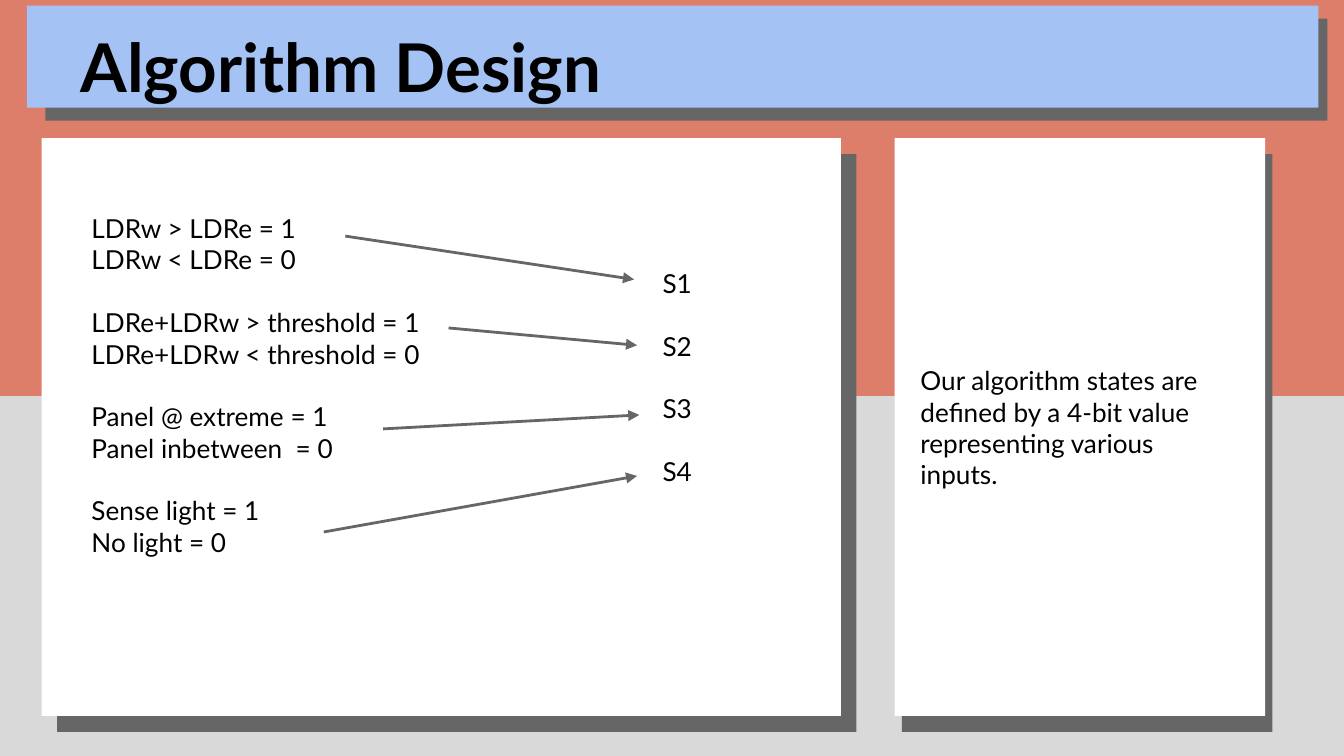
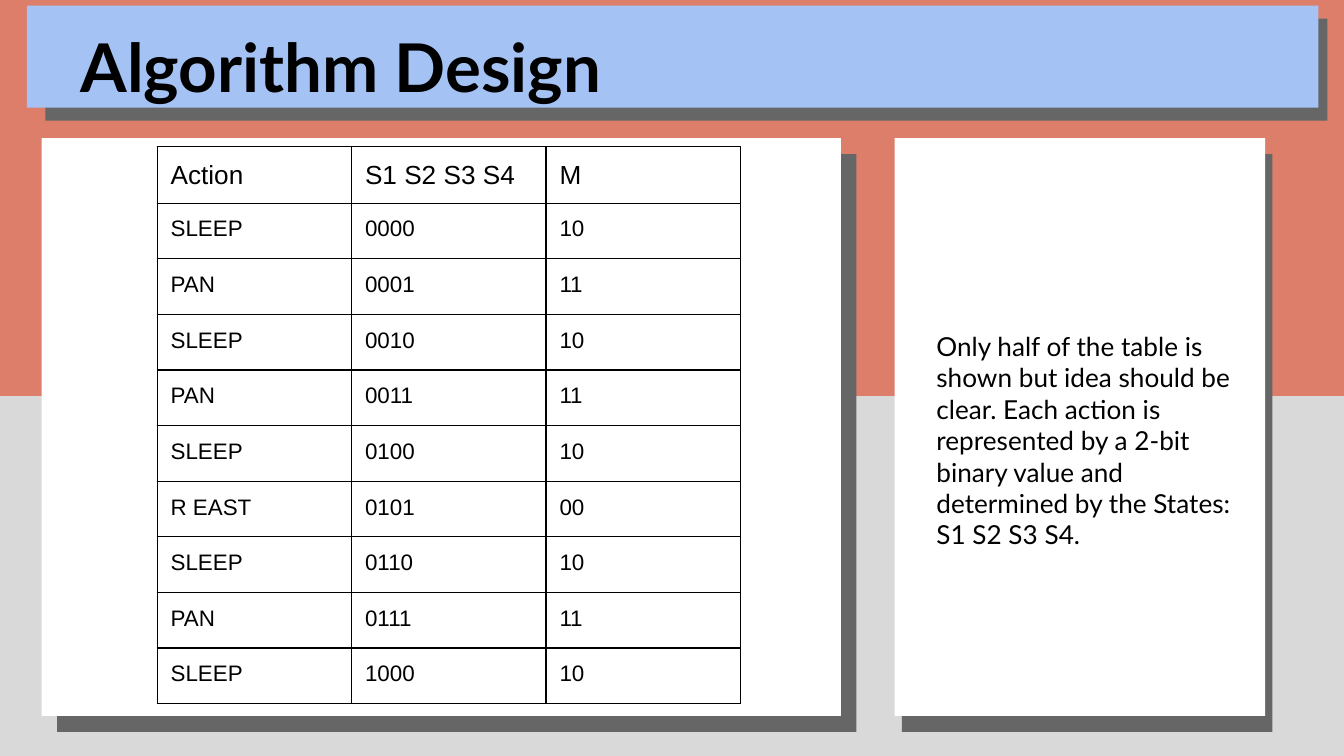
import pptx
import pptx.dml.color
import pptx.enum.shapes
import pptx.enum.text
import pptx.oxml.ns
import pptx.util
from lxml import etree

Pt = pptx.util.Pt
ANCHOR = pptx.enum.text.MSO_ANCHOR

COLORS = {
    "ground": "D9D9D9",
    "coral": "DD7E6B",
    "shade": "666666",
    "blue": "A4C2F4",
    "paper": "FFFFFF",
    "ink": "000000",
}

TITLE = "Algorithm Design"
TITLE_BOX = (36, -3.6, 648, 67.7)
BANDS = [
    ("coral", (-2.2, -2.9, 727.2, 215)),
    ("shade", (24.3, 10, 686.9, 54.7)),
    ("blue", (14.4, 3, 691.9, 54.7)),
    ("shade", (483.1, 82.6, 198.5, 309.6)),
    ("paper", (479.2, 74, 198.5, 309.6)),
    ("shade", (30.6, 82.6, 428.2, 309.6)),
    ("paper", (22.3, 74, 428.2, 309.6)),
]

RULES = [
    ("LDRw > LDRe = 1", "LDRw < LDRe = 0"),
    ("LDRe+LDRw > threshold = 1", "LDRe+LDRw < threshold = 0"),
    ("Panel @ extreme = 1", "Panel inbetween  = 0"),
    ("Sense light = 1", "No light = 0"),
]
RULE_BOX = (41.9, 106.6, 216.7, 229)
STATES = ["S1", "S2", "S3", "S4"]
STATE_BOX = (347.9, 136, 43.2, 133.2)
ARROWS = [
    ((185, 126.5), (339.7, 149.7)),
    ((240.3, 175.7), (341.3, 185)),
    ((205.2, 229.8), (342.5, 222.3)),
    ((173.5, 285), (341.3, 255)),
]
INPUT_NOTE = "Our algorithm states are defined by a 4-bit value representing various inputs."
INPUT_BOX = (486, 82.8, 181.4, 292.3)

HEADS = ("Action", "S1 S2 S3 S4", "M")
ACTIONS = [
    ("SLEEP", "10"), ("PAN", "11"), ("SLEEP", "10"),
    ("PAN", "11"), ("SLEEP", "10"), ("R EAST", "00"),
    ("SLEEP", "10"), ("PAN", "11"), ("SLEEP", "10"),
]
TABLE_AT = (84.2, 78.7)
COL_WIDTH, HEAD_HEIGHT, ROW_HEIGHT = 104.2, 26.6, 29.8
TABLE_NOTE = (
    "Only half of the table is shown but idea should be clear. Each action is "
    "represented by a 2-bit binary value and determined by the States: S1 S2 S3 S4."
)
TABLE_NOTE_BOX = (494.6, 95.8, 175.7, 280.1)

LINE = 16.8  # one line of 14 pt Lato
INSET = 7.2


def rgb(name):
    return pptx.dml.color.RGBColor.from_string(COLORS[name])


def write(frame, groups, size=14, font="Lato", bold=False, gap=0):
    """Fill a text frame with groups of lines, with a gap before each later group."""
    lines = [(line, gap if i and not j else 0)
             for i, group in enumerate(groups) for j, line in enumerate(group)]
    for n, (line, space) in enumerate(lines):
        para = frame.paragraphs[0] if n == 0 else frame.add_paragraph()
        para.alignment = pptx.enum.text.PP_ALIGN.LEFT
        para.space_before = Pt(space)
        run = para.add_run()
        run.text = line
        run.font.size, run.font.name, run.font.bold = Pt(size), font, bold
        run.font.color.rgb = rgb("ink")


def set_frame(frame, anchor):
    frame.word_wrap = True
    frame.auto_size = pptx.enum.text.MSO_AUTO_SIZE.NONE
    frame.vertical_anchor = anchor
    frame.margin_left = frame.margin_right = Pt(INSET)
    frame.margin_top = frame.margin_bottom = Pt(INSET)


def add_text(slide, box, groups, anchor=ANCHOR.TOP, **style):
    frame = slide.shapes.add_textbox(*map(Pt, box)).text_frame
    set_frame(frame, anchor)
    write(frame, groups, **style)


def add_arrow(slide, start, end):
    link = slide.shapes.add_connector(
        pptx.enum.shapes.MSO_CONNECTOR.STRAIGHT, *map(Pt, start + end))
    link.line.color.rgb = rgb("shade")
    link.line.width = Pt(1.5)
    tip = etree.SubElement(link.line._get_or_add_ln(), pptx.oxml.ns.qn("a:tailEnd"))
    tip.set("type", "triangle")
    etree.SubElement(link.element.spPr, pptx.oxml.ns.qn("a:effectLst"))


def add_border(cell):
    props = cell._tc.get_or_add_tcPr()
    for n, side in enumerate(("lnL", "lnR", "lnT", "lnB")):
        edge = etree.Element(pptx.oxml.ns.qn("a:" + side), w=str(Pt(0.75)))
        fill = etree.SubElement(edge, pptx.oxml.ns.qn("a:solidFill"))
        etree.SubElement(fill, pptx.oxml.ns.qn("a:srgbClr"), val=COLORS["ink"])
        props.insert(n, edge)


def add_grid(slide):
    rows = [HEADS] + [(act, f"{n:04b}", move) for n, (act, move) in enumerate(ACTIONS)]
    size = (COL_WIDTH * len(HEADS), HEAD_HEIGHT + ROW_HEIGHT * len(ACTIONS))
    grid = slide.shapes.add_table(len(rows), len(HEADS), *map(Pt, TABLE_AT + size)).table
    grid.first_row = grid.horz_banding = False
    for col in grid.columns:
        col.width = Pt(COL_WIDTH)
    for r, row in enumerate(rows):
        grid.rows[r].height = Pt(ROW_HEIGHT if r else HEAD_HEIGHT)
        for c, value in enumerate(row):
            cell = grid.cell(r, c)
            cell.fill.background()
            cell.margin_left = cell.margin_right = Pt(INSET)
            cell.margin_top = cell.margin_bottom = Pt(INSET)
            write(cell.text_frame, [[value]], size=12 if r else 14, font="Arial")
            add_border(cell)


def add_bands(layout, slide):
    """Draw the shared bands and move them to the layout, behind every slide."""
    for holder in list(layout.placeholders)[1:]:
        holder.element.getparent().remove(holder.element)
    layout.background.fill.solid()
    layout.background.fill.fore_color.rgb = rgb("ground")
    bands = []
    for color, box in BANDS:
        band = slide.shapes.add_shape(
            pptx.enum.shapes.MSO_SHAPE.RECTANGLE, *map(Pt, box))
        band.shadow.inherit = False
        band.fill.solid()
        band.fill.fore_color.rgb = rgb(color)
        band.line.fill.background()
        bands.append(band)
    for band in bands:
        layout.shapes.element.append(band.element)


def add_slide(deck, layout):
    slide = deck.slides.add_slide(layout)
    title = slide.shapes.title
    title.left, title.top, title.width, title.height = map(Pt, TITLE_BOX)
    set_frame(title.text_frame, ANCHOR.BOTTOM)
    write(title.text_frame, [[TITLE]], size=36, bold=True)
    return slide


def main():
    deck = pptx.Presentation()
    deck.slide_width, deck.slide_height = Pt(720), Pt(405)
    layout = deck.slide_layouts[5]

    rules = add_slide(deck, layout)
    add_bands(layout, rules)
    add_text(rules, STATE_BOX, [[state] for state in STATES], gap=LINE)
    add_text(rules, RULE_BOX, RULES, gap=LINE)
    for start, end in ARROWS:
        add_arrow(rules, start, end)
    add_text(rules, INPUT_BOX, [[INPUT_NOTE]], anchor=ANCHOR.MIDDLE)

    table = add_slide(deck, layout)
    add_grid(table)
    add_text(table, TABLE_NOTE_BOX, [[TABLE_NOTE]], anchor=ANCHOR.MIDDLE)

    deck.save("out.pptx")


if __name__ == "__main__":
    main()
